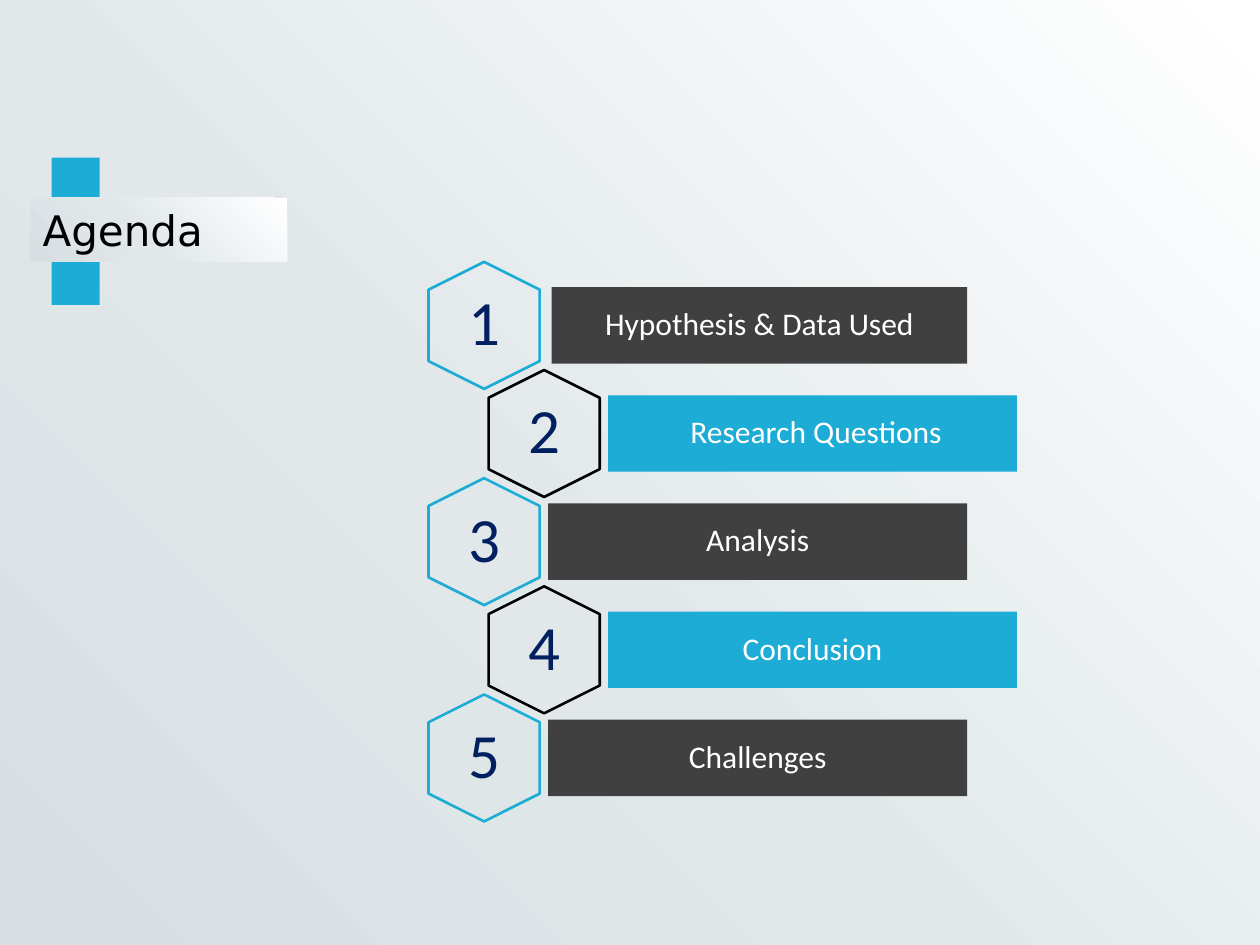
from copy import deepcopy

from pptx import Presentation
from pptx import util as u
from pptx.dml.color import RGBColor
from pptx.enum import shapes, text
from pptx.oxml.ns import qn

COLORS = {
    "accent": "1CACD5",
    "dark": "404040",
    "black": "000000",
    "white": "FFFFFF",
    "number": "002060",
}
BACKDROP = [(0, "FFFFFF"), (0.57, "E2E8EA"), (1, "D7DFE2")]
TOPICS = [
    "Hypothesis & Data Used",
    " Research Questions",
    "Analysis",
    "Conclusion",
    "Challenges",
]


def rgb(name):
    """Return the named colour."""
    return RGBColor.from_string(COLORS[name])


def fill_backdrop(fill, element):
    """Give a fill the three-stop diagonal backdrop gradient."""
    fill.gradient()
    fill.gradient_angle = 225
    first_stop = next(element.iter(qn("a:gs")))
    first_stop.addnext(deepcopy(first_stop))
    for stop, (position, color) in zip(fill.gradient_stops, BACKDROP):
        stop.position = position
        stop.color.rgb = RGBColor.from_string(color)


def add_rectangle(slide, left, top, width, height, color=None):
    """Add a borderless rectangle, filled when a colour is named."""
    shape = slide.shapes.add_shape(
        shapes.MSO_SHAPE.RECTANGLE, u.Cm(left), u.Cm(top), u.Cm(width), u.Cm(height)
    )
    shape.shadow.inherit = False
    shape.line.fill.background()
    if color:
        shape.fill.solid()
        shape.fill.fore_color.rgb = rgb(color)
    return shape


def add_hexagon(slide, left, top, width, height, color):
    """Add an outlined hexagon standing on its point."""
    shoulder = 0.56
    middle, right, bottom = left + width / 2, left + width, top + height
    points = [
        (middle, top),
        (right, top + shoulder),
        (right, bottom - shoulder),
        (middle, bottom),
        (left, bottom - shoulder),
        (left, top + shoulder),
    ]
    corners = [(u.Cm(x), u.Cm(y)) for x, y in points]
    builder = slide.shapes.build_freeform(*corners[0])
    builder.add_line_segments(corners[1:], close=True)
    shape = builder.convert_to_shape()
    shape.shadow.inherit = False
    shape.fill.background()
    shape.line.color.rgb = rgb(color)
    shape.line.width = u.Pt(1.5)
    return shape


def write_centered(shape, words, size, color):
    """Write one centred line in a shape without margins."""
    frame = shape.text_frame
    frame.margin_left = frame.margin_right = 0
    frame.margin_top = frame.margin_bottom = 0
    frame.vertical_anchor = text.MSO_ANCHOR.MIDDLE
    frame.word_wrap = True
    paragraph = frame.paragraphs[0]
    paragraph.text = words
    paragraph.alignment = text.PP_ALIGN.CENTER
    paragraph.line_spacing = 0.9
    paragraph.font.name = "Calibri"
    paragraph.font.size = u.Pt(size)
    paragraph.font.color.rgb = rgb(color)


def add_title(slide, left, top, width, height):
    """Add the title band between its two accent blocks."""
    add_rectangle(slide, left + 0.43, top - 0.81, 0.97, 0.81, "accent")
    add_rectangle(slide, left + 0.43, top + height, 0.97, 0.88, "accent")
    band = add_rectangle(slide, left, top, width, height)
    fill_backdrop(band.fill, band.element)
    frame = band.text_frame
    frame.word_wrap = True
    frame.vertical_anchor = text.MSO_ANCHOR.TOP
    paragraph = frame.paragraphs[0]
    paragraph.text = "Agenda"
    paragraph.alignment = text.PP_ALIGN.LEFT
    paragraph.font.name = "DejaVu Sans"
    paragraph.font.size = u.Pt(24)
    paragraph.font.color.rgb = rgb("black")


def add_agenda(slide, left, top, width, height):
    """Add the numbered rows, every second one shifted right."""
    hexagon_width, hexagon_height, bar_height = 2.24, 2.56, 1.54
    pitch = (height - hexagon_height) / (len(TOPICS) - 1)
    for index, topic in enumerate(TOPICS):
        shifted = index % 2 == 1
        row_left = left + (1.21 if shifted else 0)
        row_right = left + width - (0 if shifted else 1)
        row_top = top + index * pitch
        bar_left = row_left + (2.48 if index == 0 else 2.41)
        bar = add_rectangle(
            slide,
            bar_left,
            row_top + (hexagon_height - bar_height) / 2,
            row_right - bar_left,
            bar_height,
            "accent" if shifted else "dark",
        )
        write_centered(bar, topic, 18, "white")
        hexagon = add_hexagon(
            slide,
            row_left,
            row_top,
            hexagon_width,
            hexagon_height,
            "black" if shifted else "accent",
        )
        write_centered(hexagon, str(index + 1), 36, "number")


def main():
    """Build and save the agenda slide."""
    presentation = Presentation()
    presentation.slide_width = u.Cm(25.4)
    presentation.slide_height = u.Cm(19.05)
    slide = presentation.slides.add_slide(presentation.slide_layouts[6])
    fill_backdrop(slide.background.fill, slide.element)
    add_title(slide, 0.61, 3.99, 5.18, 1.28)
    add_agenda(slide, 8.64, 5.28, 11.86, 11.28)
    presentation.save("out.pptx")


if __name__ == "__main__":
    main()
